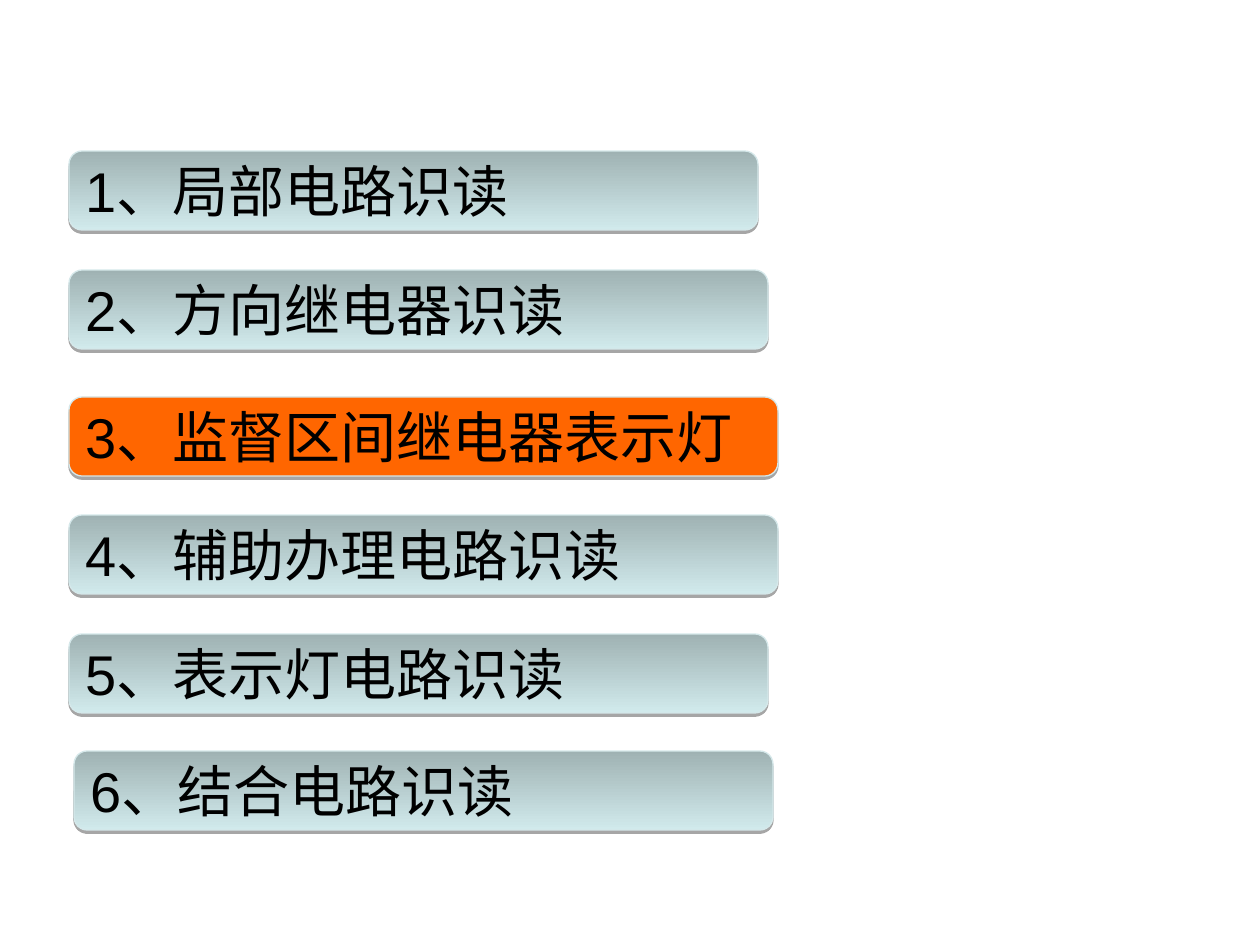
from lxml.etree import SubElement
from pptx import Presentation
from pptx.dml.color import RGBColor
from pptx.enum.shapes import MSO_SHAPE as SHAPE
from pptx.enum.text import MSO_ANCHOR as ANCHOR, PP_ALIGN as ALIGN
from pptx.oxml.ns import qn
from pptx.util import Emu, Pt

PX = 914400 // 126
COLORS = {
    "top": "9FB2B3",
    "bottom": "D1EAEC",
    "active": "FF6600",
    "border": "D5E8EA",
    "text": "000000",
    "shadow": "000000",
}

# Agenda: text, left, top, width (px)
ITEMS = [
    ("1、局部电路识读", 69, 151, 689),
    ("2、方向继电器识读", 69, 270, 699),
    ("3、监督区间继电器表示灯", 69, 397, 709),
    ("4、辅助办理电路识读", 69, 515, 709),
    ("5、表示灯电路识读", 69, 634, 699),
    ("6、结合电路识读", 74, 751, 699),
]
ACTIVE = 2
BAR_HEIGHT = 79


def px(n):
    return Emu(n * PX)


def rgb(name):
    return RGBColor.from_string(COLORS[name])


def paint(sp, active):
    fill = sp.fill
    if active:
        fill.solid()
        fill.fore_color.rgb = rgb("active")
    else:
        fill.gradient()
        fill.gradient_angle = 270  # counter-clockwise: top to bottom
        for stop, name in zip(fill.gradient_stops, ("top", "bottom")):
            stop.color.rgb = rgb(name)
    sp.line.color.rgb = rgb("border")
    sp.line.width = Pt(0.75)


def add_shadow(sp):
    sp.shadow.inherit = False
    effects = sp._element.spPr.find(qn("a:effectLst"))
    shadow = SubElement(effects, qn("a:outerShdw"), blurRad="0",
                        dist=str(Pt(1.8)), dir="5400000", rotWithShape="0")
    color = SubElement(shadow, qn("a:srgbClr"), val=COLORS["shadow"])
    SubElement(color, qn("a:alpha"), val="34000")


def add_bar(slide, text, left, top, width, active):
    sp = slide.shapes.add_shape(SHAPE.ROUNDED_RECTANGLE, px(left), px(top),
                                px(width), px(BAR_HEIGHT))
    paint(sp, active)
    add_shadow(sp)
    tf = sp.text_frame
    tf.word_wrap = True
    tf.vertical_anchor = ANCHOR.MIDDLE
    p = tf.paragraphs[0]
    p.alignment = ALIGN.LEFT
    r = p.add_run()
    r.text = text
    r.font.name = "Arial"
    r.font.size = Pt(32)
    r.font.color.rgb = rgb("text")


prs = Presentation()
prs.slide_width, prs.slide_height = px(1260), px(945)
slide = prs.slides.add_slide(prs.slide_layouts[6])

for i, (text, left, top, width) in enumerate(ITEMS):
    add_bar(slide, text, left, top, width, i == ACTIVE)

prs.save("out.pptx")
